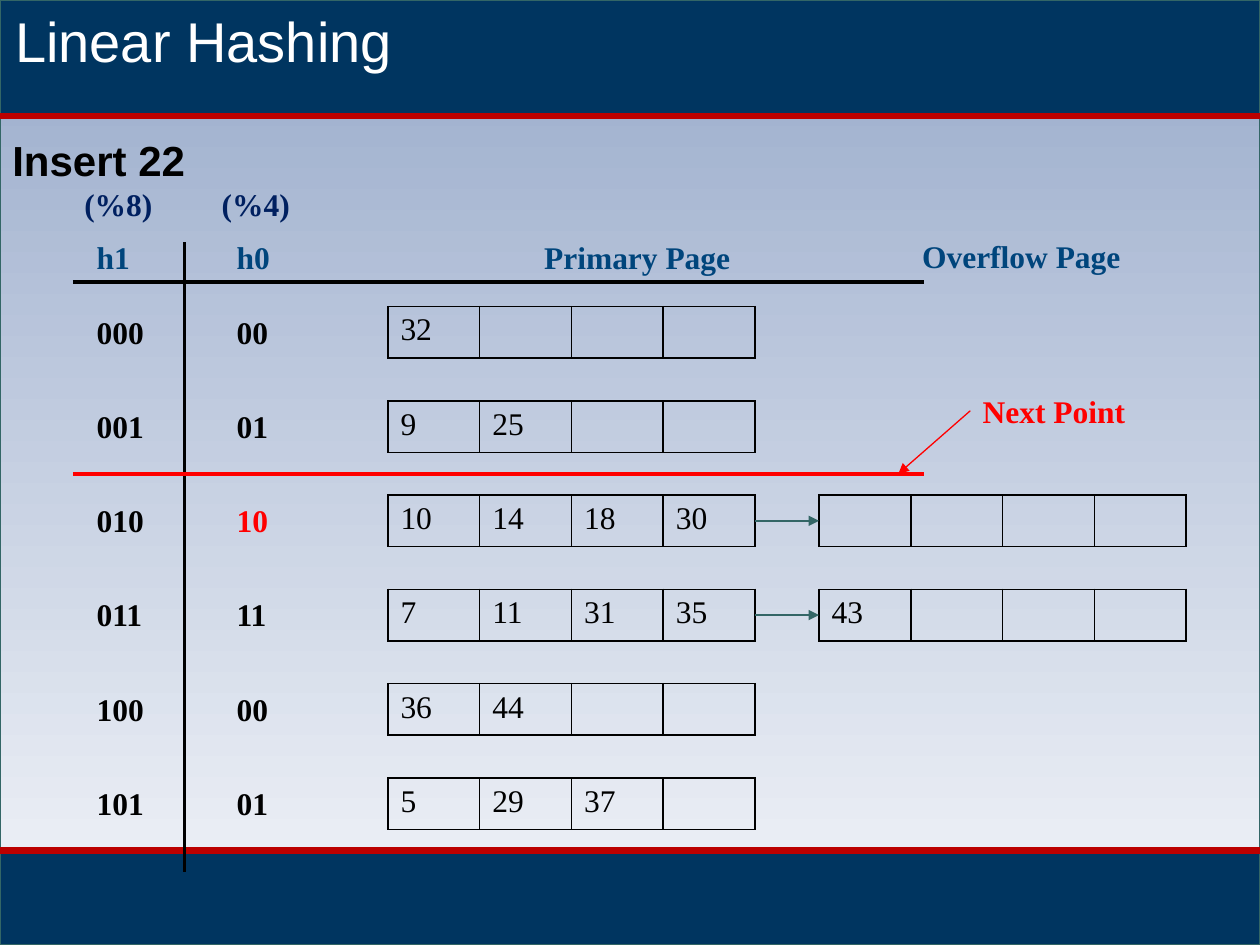
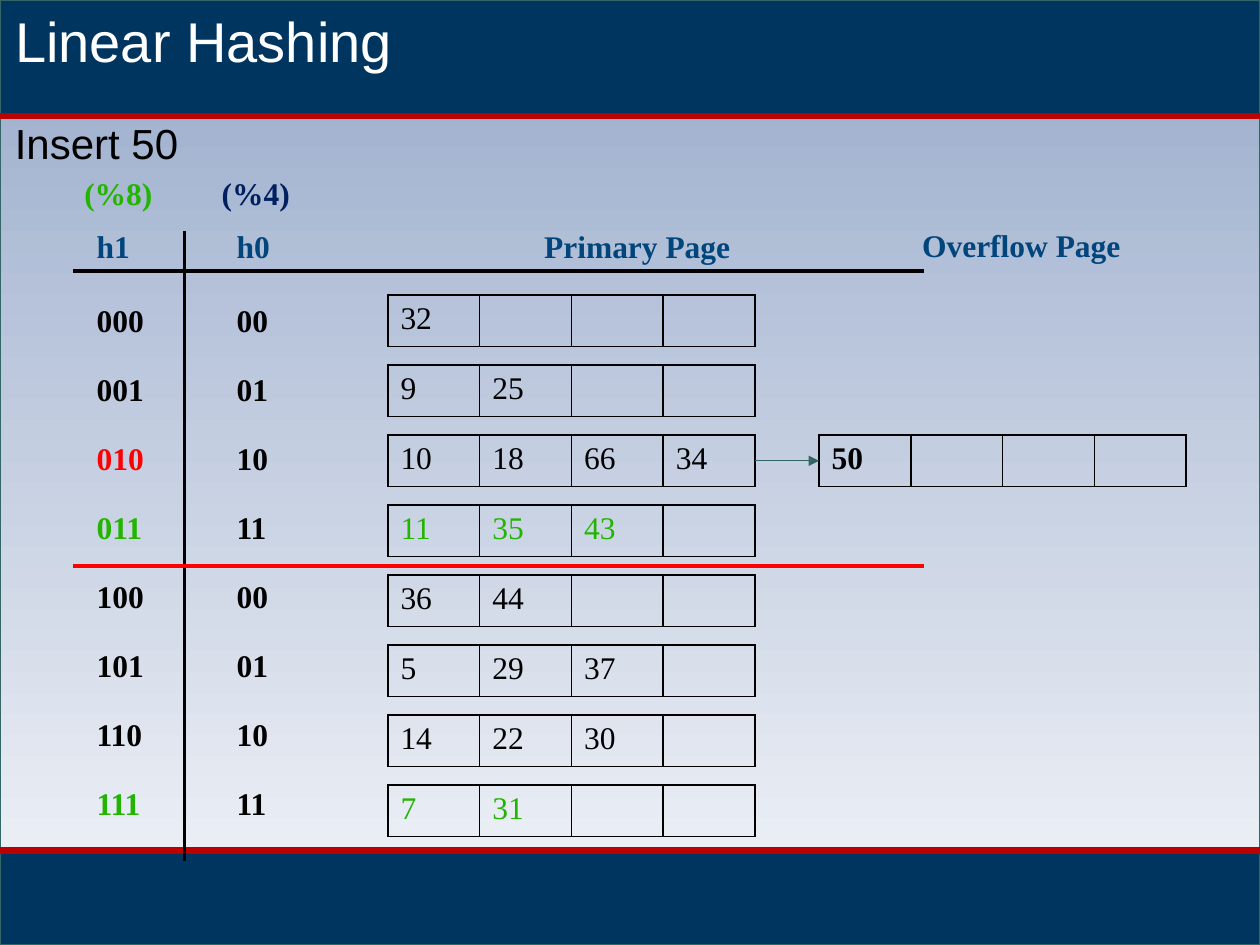
"""Builds two slides that step through inserts in a linear hash file."""
from dataclasses import dataclass

from lxml.etree import SubElement
from pptx import Presentation
from pptx.dml.color import RGBColor
from pptx.enum.shapes import MSO_CONNECTOR, MSO_SHAPE
from pptx.enum.text import MSO_ANCHOR, MSO_AUTO_SIZE, PP_ALIGN
from pptx.oxml.ns import qn
from pptx.util import Cm, Pt


@dataclass(frozen=True)
class Theme:
    """Colours, fonts and type sizes of the deck."""
    navy: str = "003560"
    band: str = "BC0000"
    sky: str = "99ABCB"
    mist: str = "F3F5F9"
    teal: str = "336666"
    head: str = "00457C"
    mod: str = "002060"
    ink: str = "000000"
    white: str = "FFFFFF"
    red: str = "FF0000"
    green: str = "22B400"
    sans: str = "Arial"
    serif: str = "Times New Roman"
    title: int = 32
    step: int = 24
    body: int = 18


T = Theme()
WIDE, TALL = 25.4, 19.05
COL1, COL0, MAIN, FLOW = 1.7, 4.52, 7.82, 16.51
SLOTS, CELL, ROW, LINE = 4, 1.85, 1.04, 1.02
RULE, START = 2.08, 2.57


@dataclass
class Bucket:
    """One hash bucket with its keys and colours."""
    h1: str
    h0: str
    keys: tuple
    flow: tuple = None
    tint1: str = T.ink
    tint0: str = T.ink
    tint: str = T.ink
    bold: bool = False


def style(para, size, color, bold=False, font=T.serif):
    """Format every run of a paragraph."""
    for run in para.runs:
        run.font.name, run.font.size, run.font.bold = font, Pt(size), bold
        run.font.color.rgb = RGBColor.from_string(color)


def label(slide, text, left, top, width, color, wrap=False):
    """Add one bold line of serif text."""
    box = slide.shapes.add_textbox(Cm(left), Cm(top), Cm(width), Cm(LINE))
    frame = box.text_frame
    frame.word_wrap, frame.auto_size = wrap, MSO_AUTO_SIZE.SHAPE_TO_FIT_TEXT
    frame.text = text
    style(frame.paragraphs[0], T.body, color, True)
    return box


def line(slide, start, end, color, width, arrow=False):
    """Add a straight line, with an arrowhead at its end if asked."""
    link = slide.shapes.add_connector(
        MSO_CONNECTOR.STRAIGHT, *(Cm(n) for n in (*start, *end)))
    link.line.color.rgb = RGBColor.from_string(color)
    link.line.width = Pt(width)
    if arrow:
        SubElement(link.line._get_or_add_ln(), qn("a:tailEnd"), type="triangle")
    SubElement(link._element.spPr, qn("a:effectLst"))
    return link


def panel(slide, top, height):
    """Add a navy rectangle across the slide."""
    box = slide.shapes.add_shape(
        MSO_SHAPE.RECTANGLE, 0, Cm(top), Cm(WIDE), Cm(height))
    box.shadow.inherit = False
    box.fill.solid()
    box.fill.fore_color.rgb = RGBColor.from_string(T.navy)
    box.line.color.rgb = RGBColor.from_string(T.teal)
    box.line.width = Pt(0.75)
    return box


def backdrop(deck, slide):
    """Draw the shared bands and move them to the slide master."""
    top, foot = 2.34, 17.15
    sky = panel(slide, 0, TALL)
    sky.fill.gradient()
    sky.fill.gradient_angle = 270
    for stop, color in zip(sky.fill.gradient_stops, (T.sky, T.mist)):
        stop.color.rgb = RGBColor.from_string(color)
    parts = [sky, panel(slide, foot, TALL - foot), panel(slide, 0, top)]
    parts += [line(slide, (0, y), (WIDE, y), T.band, 3.75) for y in (top, foot)]
    tree = deck.slide_master.shapes.element
    for spot, part in enumerate(parts, 2):
        tree.insert(spot, part._element)


def heading(slide, step, left, top, width, bold):
    """Fill the title and add the line that names the step."""
    title = slide.shapes.title
    title.left, title.top, title.width, title.height = (
        Cm(n) for n in (0.05, 0, 25.35, 1.63))
    frame = title.text_frame
    frame.text = "Linear Hashing"
    frame.word_wrap, frame.auto_size = True, MSO_AUTO_SIZE.NONE
    frame.vertical_anchor = MSO_ANCHOR.TOP
    frame.paragraphs[0].alignment = PP_ALIGN.LEFT
    style(frame.paragraphs[0], T.title, T.white, font=T.sans)
    box = slide.shapes.add_textbox(Cm(left), Cm(top), Cm(width), Cm(1.27))
    box.text_frame.word_wrap = True
    box.text_frame.text = step
    style(box.text_frame.paragraphs[0], T.step, T.ink, bold, T.sans)


def border(cell):
    """Outline a table cell in black."""
    props = cell._tc.get_or_add_tcPr()
    for side in ("lnL", "lnR", "lnT", "lnB"):
        edge = SubElement(props, qn(f"a:{side}"), w=str(Pt(1)))
        fill = SubElement(edge, qn("a:solidFill"))
        SubElement(fill, qn("a:srgbClr"), val=T.ink)


def page(slide, left, top, keys, color, bold=False):
    """Add a page of key slots as a one-row table."""
    table = slide.shapes.add_table(
        1, SLOTS, Cm(left), Cm(top), Cm(SLOTS * CELL), Cm(ROW)).table
    table.first_row = table.horz_banding = False
    for spot in range(SLOTS):
        cell = table.cell(0, spot)
        border(cell)
        cell.fill.background()
        if spot < len(keys):
            cell.text = str(keys[spot])
            style(cell.text_frame.paragraphs[0], T.body, color, bold)


def grid(slide, top, tint):
    """Add the column heads and the two black rules."""
    heads = (("(%8)", 1.45, 0, 1.9, tint), ("(%4)", 4.22, 0, 1.9, T.mod),
             ("h1", COL1, 1.07, 1.19, T.head), ("h0", COL0, 1.07, 1.19, T.head),
             ("Primary Page", 10.72, 1.07, 4.32, T.head),
             ("Overflow Page", 18.34, 1.05, 4.7, T.head))
    for text, left, down, width, color in heads:
        label(slide, text, left, top + down, width, color)
    line(slide, (3.71, top + 1.27), (3.71, top + 13.97), T.ink, 1.75)
    rule(slide, top + RULE, T.ink)


def rule(slide, y, color):
    """Add a rule across the hash and primary columns."""
    line(slide, (1.47, y), (18.62, y), color, 2)


def bucket(slide, top, text, item):
    """Add the hash values and pages of one bucket."""
    for name, left, color in ((item.h1, COL1, item.tint1),
                              (item.h0, COL0, item.tint0)):
        label(slide, name, left, text, 0.51 + 0.32 * len(name), color)
    page(slide, MAIN, top, item.keys, item.tint)
    if item.flow is not None:
        page(slide, FLOW, top, item.flow, T.ink, item.bold)
        mid = top + ROW / 2
        line(slide, (MAIN + SLOTS * CELL, mid), (FLOW, mid), T.teal, 0.75, True)


def table(slide, top, items, pitch, step, split, tint=T.mod):
    """Add the hash table and return the height of its split line."""
    grid(slide, top, tint)
    first = top + START
    for spot, item in enumerate(items):
        bucket(slide, first + spot * pitch, first + spot * step, item)
    y = first + split * pitch - (pitch - ROW) / 2
    rule(slide, y, T.red)
    return y


def pointer(slide, y):
    """Add the note that points at the split line."""
    note = label(slide, "Next Point", 19.56, y - 1.78, 3.4, T.red, True)
    link = line(slide, (19.56, y - 1.27), (18.11, y), T.red, 0.75, True)
    link.begin_connect(note, 1)


def main():
    """Build and save the deck."""
    deck = Presentation()
    deck.slide_width, deck.slide_height = Cm(WIDE), Cm(TALL)
    first, last = (deck.slides.add_slide(deck.slide_layouts[5]) for _ in range(2))
    backdrop(deck, first)

    heading(first, "Insert 22", 0, 2.59, 22.66, True)
    split = table(first, 3.61, (
        Bucket("000", "00", (32,)),
        Bucket("001", "01", (9, 25)),
        Bucket("010", "10", (10, 14, 18, 30), (), tint0=T.red),
        Bucket("011", "11", (7, 11, 31, 35), (43,)),
        Bucket("100", "00", (36, 44)),
        Bucket("101", "01", (5, 29, 37)),
    ), 1.9, 1.9, 2)
    pointer(first, split)

    heading(last, "Insert 50", 0.05, 2.24, 25.35, False)
    table(last, 3.38, (
        Bucket("000", "00", (32,)),
        Bucket("001", "01", (9, 25)),
        Bucket("010", "10", (10, 18, 66, 34), (50,), tint1=T.red, bold=True),
        Bucket("011", "11", (11, 35, 43), tint1=T.green, tint=T.green),
        Bucket("100", "00", (36, 44)),
        Bucket("101", "01", (5, 29, 37)),
        Bucket("110", "10", (14, 22, 30)),
        Bucket("111", "11", (7, 31), tint1=T.green, tint=T.green),
    ), 1.41, 1.39, 4, T.green)
    deck.save("out.pptx")


if __name__ == "__main__":
    main()
